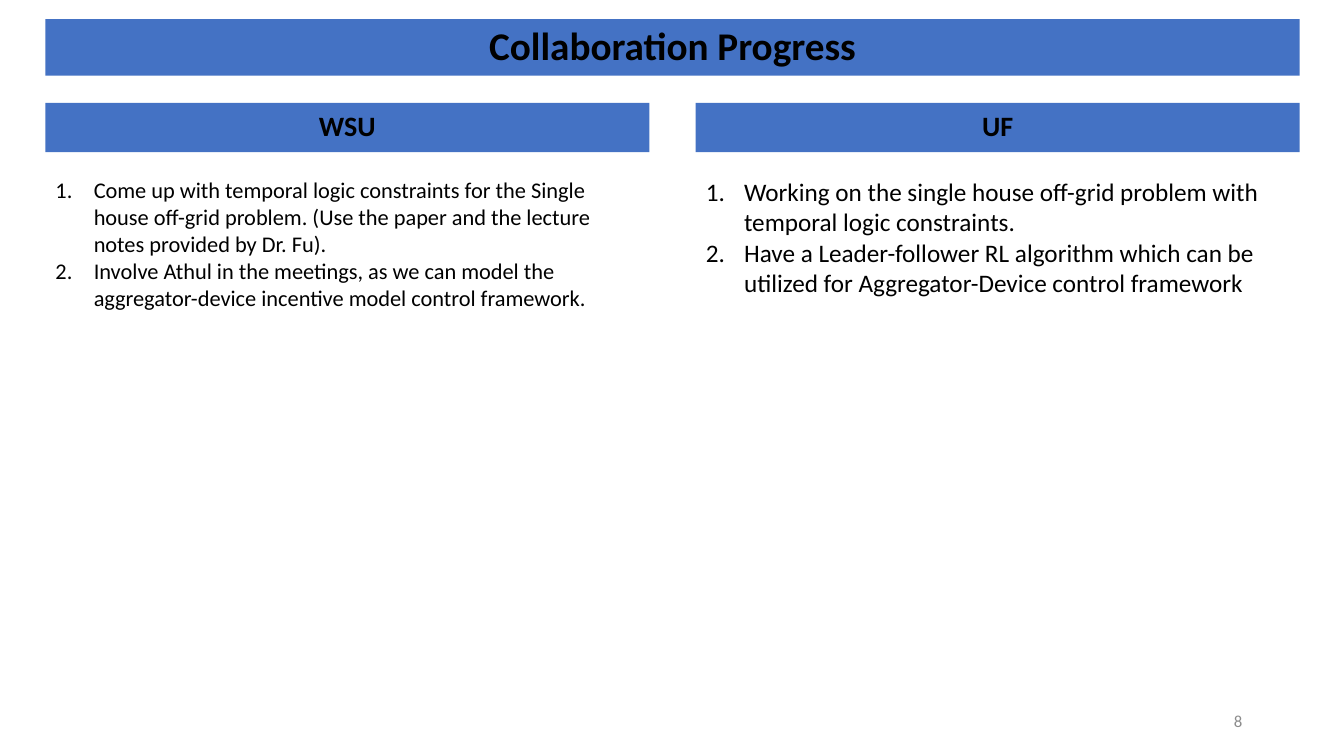
from dataclasses import dataclass

from lxml.etree import SubElement
from pptx import Presentation
from pptx.dml.color import RGBColor
from pptx.enum.text import MSO_ANCHOR, MSO_AUTO_SIZE, PP_ALIGN
from pptx.oxml.ns import qn
from pptx.shapes.base import BaseShape
from pptx.util import Inches, Pt


@dataclass(frozen=True)
class Theme:
    font: str = "Calibri"
    bar: RGBColor = RGBColor(0x44, 0x72, 0xC4)
    ink: RGBColor = RGBColor(0, 0, 0)
    muted: RGBColor = RGBColor(0x8C, 0x8C, 0x8C)
    title_size: int = 28
    heading_size: int = 20
    number_size: int = 12


@dataclass(frozen=True)
class Column:
    heading: str
    items: tuple[str, ...]
    size: int
    list_height: float


THEME = Theme()
SLIDE_WIDTH, SLIDE_HEIGHT = 13.33, 7.5
MARGIN, COLUMN_WIDTH, COLUMN_GAP = 0.45, 5.99, 0.46
NUMBER_INDENT = 0.38
COMPARISON_LAYOUT = 4

COLUMNS = (
    Column(
        "WSU",
        (
            "Come up with temporal logic constraints for the Single house off-grid problem. "
            "(Use the paper and the lecture notes provided by Dr. Fu).",
            "Involve Athul in the meetings, as we can model the aggregator-device "
            "incentive model control framework.",
        ),
        size=16,
        list_height=1.72,
    ),
    Column(
        "UF",
        (
            "Working on the single house off-grid problem with temporal logic constraints.",
            "Have a Leader-follower RL algorithm which can be utilized for "
            "Aggregator-Device control framework",
        ),
        size=18,
        list_height=1.31,
    ),
)


def place(shape: BaseShape, left: float, top: float, width: float, height: float) -> None:
    shape.left, shape.top = Inches(left), Inches(top)
    shape.width, shape.height = Inches(width), Inches(height)


def write_text(
    shape: BaseShape,
    *texts: str,
    size: int,
    color: RGBColor = THEME.ink,
    bold: bool = False,
    align: PP_ALIGN = PP_ALIGN.LEFT,
    anchor: MSO_ANCHOR = MSO_ANCHOR.MIDDLE,
    line_spacing: float = 1.0,
    auto_size: MSO_AUTO_SIZE = MSO_AUTO_SIZE.NONE,
    numbered: bool = False,
) -> None:
    frame = shape.text_frame
    frame.text = "\n".join(texts)
    frame.word_wrap = True
    frame.auto_size = auto_size
    frame.vertical_anchor = anchor
    for paragraph in frame.paragraphs:
        paragraph.alignment = align
        paragraph.line_spacing = line_spacing
        paragraph.space_before = paragraph.space_after = Pt(0)
        if numbered:
            properties = paragraph._p.get_or_add_pPr()
            properties.set("marL", str(Inches(NUMBER_INDENT)))
            properties.set("indent", str(-Inches(NUMBER_INDENT)))
            SubElement(properties, qn("a:buFont"), typeface="+mj-lt")
            SubElement(properties, qn("a:buAutoNum"), type="arabicPeriod")
        for run in paragraph.runs:
            run.font.name = THEME.font
            run.font.size = Pt(size)
            run.font.bold = bold
            run.font.color.rgb = color


def format_bar(shape: BaseShape, text: str, size: int) -> None:
    shape.fill.solid()
    shape.fill.fore_color.rgb = THEME.bar
    write_text(shape, text, size=size, bold=True, align=PP_ALIGN.CENTER, line_spacing=0.9)


def main() -> None:
    presentation = Presentation()
    presentation.slide_width = Inches(SLIDE_WIDTH)
    presentation.slide_height = Inches(SLIDE_HEIGHT)
    slide = presentation.slides.add_slide(presentation.slide_layouts[COMPARISON_LAYOUT])

    title, *bodies = slide.placeholders
    place(title, MARGIN, 0.19, 2 * COLUMN_WIDTH + COLUMN_GAP, 0.56)
    format_bar(title, "Collaboration Progress", THEME.title_size)

    for index, (column, heading, task_list) in enumerate(zip(COLUMNS, bodies[::2], bodies[1::2])):
        left = MARGIN + index * (COLUMN_WIDTH + COLUMN_GAP)
        place(heading, left, 1.02, COLUMN_WIDTH, 0.49)
        format_bar(heading, column.heading, THEME.heading_size)
        place(task_list, left, 1.7, COLUMN_WIDTH, column.list_height)
        write_text(
            task_list,
            *column.items,
            size=column.size,
            anchor=MSO_ANCHOR.TOP,
            auto_size=MSO_AUTO_SIZE.SHAPE_TO_FIT_TEXT,
            numbered=True,
        )

    slide_number = slide.shapes.add_textbox(Inches(9.42), Inches(6.95), Inches(3), Inches(0.4))
    write_text(slide_number, "8", size=THEME.number_size, color=THEME.muted, align=PP_ALIGN.RIGHT)

    presentation.save("out.pptx")


if __name__ == "__main__":
    main()
